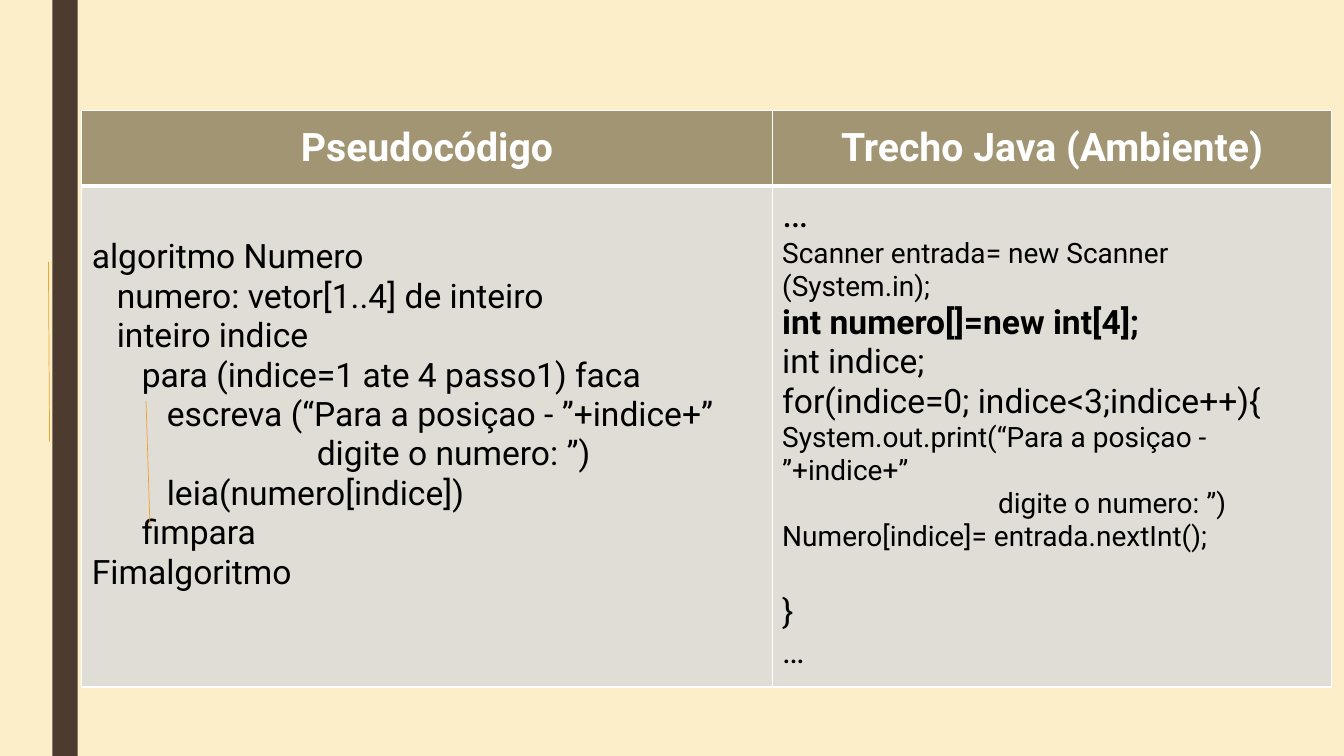
from lxml import etree
from pptx import Presentation
from pptx.dml.color import RGBColor
from pptx.enum.shapes import MSO_CONNECTOR, MSO_SHAPE
from pptx.enum.text import MSO_ANCHOR, PP_ALIGN
from pptx.oxml.ns import qn
from pptx.util import Cm, Pt

STRAIGHT = MSO_CONNECTOR.STRAIGHT
RECTANGLE = MSO_SHAPE.RECTANGLE
MIDDLE, TOP = MSO_ANCHOR.MIDDLE, MSO_ANCHOR.TOP
CENTER, LEFT = PP_ALIGN.CENTER, PP_ALIGN.LEFT

FONT = "Roboto"
CREAM, BROWN, ORANGE = "FBEEC9", "4E3B30", "F0A22E"
OLIVE, GREY, WHITE, BLACK = "A19574", "E0DDD6", "FFFFFF", "000000"

INDENT_STEP = 0.63  # cm per level of pseudocode nesting
HEADINGS = ["Pseudocódigo", "Trecho Java (Ambiente)"]

# Pseudocode: text, nesting level
PSEUDOCODE = [
    ("algoritmo Numero", 0),
    ("numero: vetor[1..4] de inteiro", 1),
    ("inteiro indice", 1),
    ("para (indice=1 ate 4 passo1) faca", 2),
    ("escreva (“Para a posiçao - ”+indice+”", 3),
    ("digite o numero: ”)", 9),
    ("leia(numero[indice])", 3),
    ("fimpara", 2),
    ("Fimalgoritmo", 0),
]

# Java: text, size in points, further formatting
JAVA = [
    ("…", 28, {}),
    ("Scanner entrada= new Scanner (System.in);", 20, {}),
    ("int numero[]=new int[4];", 24, {"bold": True}),
    ("int indice;", 24, {}),
    ("for(indice=0; indice<3;indice++){", 24, {}),
    ("System.out.print(“Para a posiçao - ”+indice+”", 20, {}),
    ("digite o numero: ”)", 20, {"indent": 5.44}),
    ("Numero[indice]= entrada.nextInt();", 20, {}),
    ("}", 24, {"before": 28}),
    ("…", 24, {}),
]


def rgb(value):
    return RGBColor.from_string(value)


def add_bar(slide, left, top, width, height, color):
    bar = slide.shapes.add_shape(RECTANGLE, Cm(left), Cm(top), Cm(width), Cm(height))
    bar.shadow.inherit = False
    bar.fill.solid()
    bar.fill.fore_color.rgb = rgb(color)
    bar.line.fill.background()


def add_line(slide, start, end):
    line = slide.shapes.add_connector(
        STRAIGHT, Cm(start[0]), Cm(start[1]), Cm(end[0]), Cm(end[1]))
    line.line.color.rgb = rgb(ORANGE)
    line.line.width = Pt(0.5)
    etree.SubElement(line._element.spPr, qn("a:effectLst"))


def set_borders(cell, bottom):
    properties = cell._tc.get_or_add_tcPr()
    for side, points in (("L", 1), ("R", 1), ("T", 1), ("B", bottom)):
        border = etree.SubElement(properties, qn(f"a:ln{side}"), w=str(Pt(points)))
        fill = etree.SubElement(border, qn("a:solidFill"))
        etree.SubElement(fill, qn("a:srgbClr"), val=WHITE)


def style_cell(cell, color, anchor, bottom=1):
    set_borders(cell, bottom)
    cell.fill.solid()
    cell.fill.fore_color.rgb = rgb(color)
    cell.vertical_anchor = anchor


def add_text(cell, text, size, color=BLACK, bold=False, align=LEFT, indent=0, before=0):
    frame = cell.text_frame
    paragraph = frame.add_paragraph() if frame.text else frame.paragraphs[0]
    paragraph.text = text
    paragraph.alignment = align
    paragraph.space_before = Pt(before)
    paragraph.font.name = FONT
    paragraph.font.size = Pt(size)
    paragraph.font.bold = bold
    paragraph.font.color.rgb = rgb(color)
    if indent:
        properties = paragraph._p.get_or_add_pPr()
        properties.set("marL", str(Cm(indent)))
        properties.set("indent", "0")


def add_code_table(slide):
    widths, heights = (17.4, 14.1), (1.9, 12.62)
    table = slide.shapes.add_table(
        2, 2, Cm(2.06), Cm(2.79), Cm(sum(widths)), Cm(sum(heights))).table
    for column, width in zip(table.columns, widths):
        column.width = Cm(width)
    for row, height in zip(table.rows, heights):
        row.height = Cm(height)

    # Headings
    for index, heading in enumerate(HEADINGS):
        cell = table.cell(0, index)
        style_cell(cell, OLIVE, MIDDLE, bottom=3)
        add_text(cell, heading, 28, WHITE, bold=True, align=CENTER)

    # Code
    pseudocode_cell, java_cell = table.cell(1, 0), table.cell(1, 1)
    for cell in (pseudocode_cell, java_cell):
        style_cell(cell, GREY, TOP)
    pseudocode_cell.margin_top = Cm(1.29)
    for text, level in PSEUDOCODE:
        add_text(pseudocode_cell, text, 24, indent=level * INDENT_STEP)
    for text, size, formatting in JAVA:
        add_text(java_cell, text, size, **formatting)


def main():
    presentation = Presentation()
    presentation.slide_width = Cm(33.87)
    presentation.slide_height = Cm(19.05)
    slide = presentation.slides.add_slide(presentation.slide_layouts[6])

    # Background and side bar
    slide.background.fill.solid()
    slide.background.fill.fore_color.rgb = rgb(CREAM)
    add_bar(slide, 1.32, 0, 0.64, 19.05, BROWN)

    # Code comparison and block guides
    add_code_table(slide)
    add_line(slide, (1.22, 6.6), (1.25, 11.13))
    add_line(slide, (3.68, 10.11), (3.78, 13.26))

    presentation.save("out.pptx")


if __name__ == "__main__":
    main()
